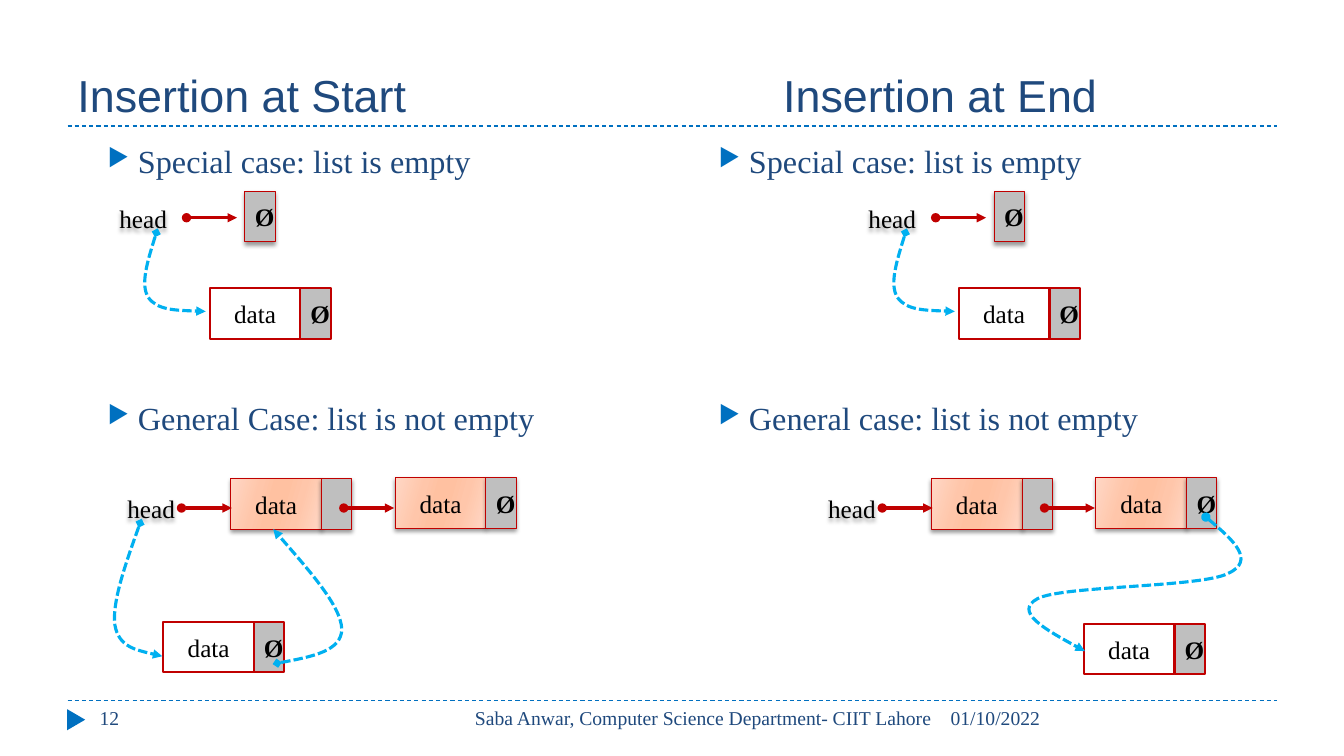
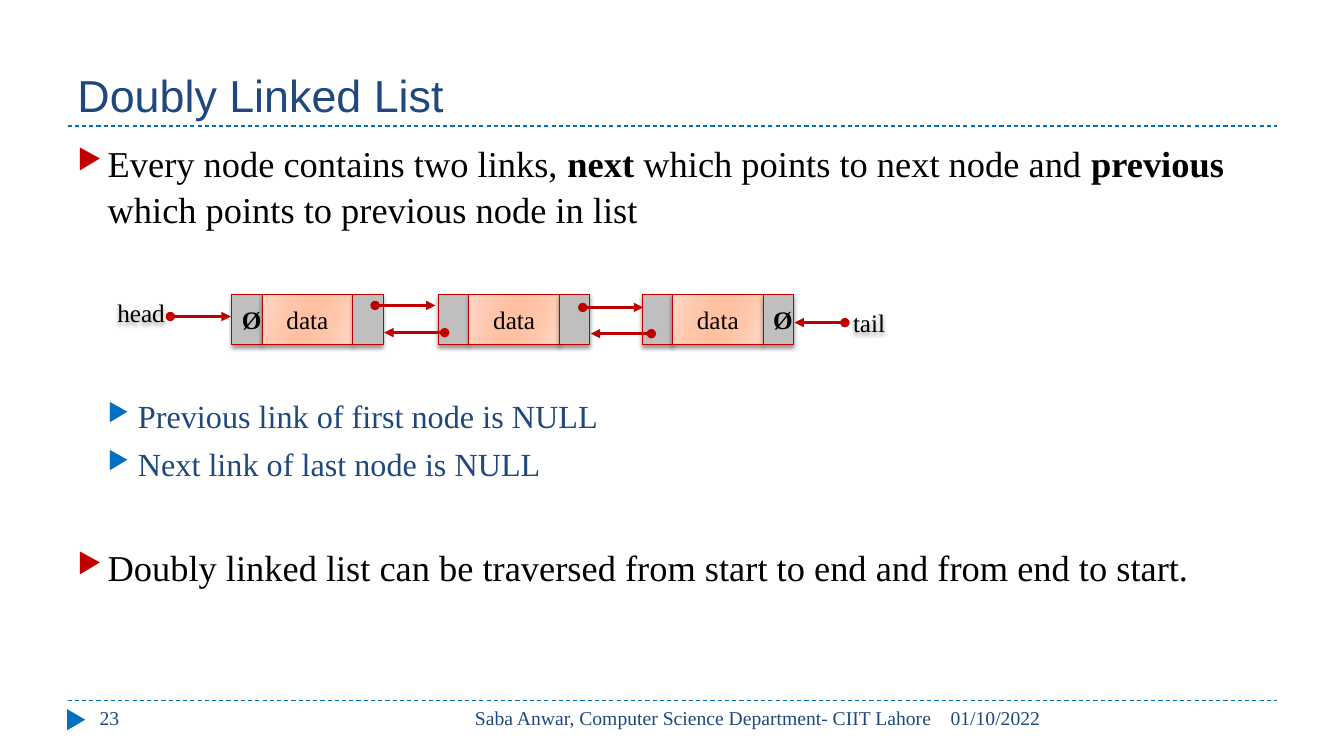
from lxml.etree import SubElement
from pptx import Presentation
from pptx.dml.color import RGBColor
from pptx.enum.dml import MSO_LINE
from pptx.enum.shapes import MSO_CONNECTOR, MSO_SHAPE
from pptx.enum.text import MSO_ANCHOR, PP_ALIGN
from pptx.oxml.ns import qn
from pptx.util import Pt

PX = 9144  # EMU per px, 100 px to the inch
NAVY, BLUE, SKY, RED = "1F497D", "0070C0", "00B0F0", "C00000"
BLACK, WHITE, GREY = "000000", "FFFFFF", "BFBFBF"
PEACH = [(0, "FFD7C5"), (30, "FFC6AA"), (45, "FFC1A1"),
         (55, "FFC1A1"), (73, "FFC6AA"), (100, "FFD7C5")]
SANS, SERIF = "Arial", "Times New Roman"

# Bullet levels: size, text colour, bullet colour, left margin
LEVELS = [(26, BLACK, RED, 30), (23, NAVY, BLUE, 60)]
CELL_H, DATA_W, LINK_W = 50, 90, 30
NULL = "Ø"

FOOT = [
    ("01/10/2022", (933, 695, 334, 40), PP_ALIGN.LEFT),
    ("Saba Anwar, Computer Science Department- CIIT Lahore",
     (423, 695, 511, 40), PP_ALIGN.RIGHT),
]

# Bullets: level, space before in points, pieces of text (bold, if starred)
START = [(1, 0, ["Special case: list is empty"]),
         (1, 155, ["General Case: list is not empty"])]
END = [(1, 0, ["Special case: list is empty"]),
       (1, 155, ["General case: list is not empty"])]
DOUBLY = [
    (0, 0, ["Every node contains two links, ", "*next",
            " which points to next node and ", "*previous",
            " which points to previous node in list"]),
    (1, 117, ["Previous link of first node is NULL"]),
    (1, 5, ["Next link of last node is NULL"]),
    (0, 43, ["Doubly linked list can be traversed from start to end "
             "and from end to start."]),
]

# Diagrams: labels (text, x, y), nodes (x, y, cells, is new),
# arrows (from, to), curves (Bezier points, head)
EMPTY = {
    "labels": [("head", 107, 202)],
    "nodes": [(243, 190, [NULL], False), (208, 286, ["data", NULL], True)],
    "arrows": [((185, 216), (235, 216))],
    "curves": [([(155, 231), (147, 257), (139, 282), (147, 295),
                 (156, 308), (180, 308), (204, 309)], "diamond")],
}
CHAIN = {
    "labels": [("head", 115, 489)],
    "nodes": [(229, 475, ["data", ""], False),
              (392, 474, ["data", NULL], False)],
    "arrows": [((180, 504), (230, 504)), ((341, 504), (391, 504))],
}
ADD_START = {
    "nodes": [(162, 617, ["data", NULL], True)],
    "curves": [([(139, 519), (125, 558), (111, 598), (114, 620),
                 (118, 642), (140, 646), (161, 651)], "diamond"),
               ([(275, 658), (307, 652), (339, 646), (339, 624),
                 (338, 601), (304, 563), (271, 525)], "diamond")],
}
ADD_END = {
    "nodes": [(1075, 619, ["data", NULL], True)],
    "curves": [([(1196, 513), (1221, 534), (1246, 556), (1218, 569),
                 (1190, 583), (1053, 581), (1029, 594),
                 (1005, 607), (1041, 627), (1076, 646)], "oval")],
}
TWO_WAY = {
    "labels": [("head", 105, 295), ("tail", 827, 305)],
    "nodes": [(230, 292, [NULL, "data", ""], False),
              (435, 292, ["", "data", ""], False),
              (637, 292, ["", "data", NULL], False)],
    "arrows": [((169, 314), (229, 314)), ((838, 320), (788, 320)),
               ((441, 330), (381, 330)), ((372, 303), (432, 303)),
               ((646, 331), (586, 331)), ((578, 305), (638, 305))],
}

SLIDES = [
    {"title": "Insertion at Start\tInsertion at End", "page": "12",
     "bodies": [((67, 133, 599, 540), START), ((673, 133, 592, 540), END)],
     "parts": [(EMPTY, 0), (CHAIN, 0), (ADD_START, 0),
               (EMPTY, 743), (CHAIN, 695), (ADD_END, 0)]},
    {"title": "Doubly Linked List", "page": "23",
     "bodies": [((67, 133, 1200, 540), DOUBLY)],
     "parts": [(TWO_WAY, 0)]},
]


def rgb(code):
    return RGBColor.from_string(code)


def emu(*values):
    return [v * PX for v in values]


def style(para, size, color, font=SERIF, align=None):
    para.alignment = align
    for run in para.runs:
        run.font.size, run.font.name = Pt(size), font
        run.font.color.rgb = rgb(color)


def stroke(line, color, width, dash=None):
    line.color.rgb, line.width = rgb(color), Pt(width)
    if dash:
        line.dash_style = dash


def tips(shape, head):
    """Put the head marker at the start and a triangle at the end."""
    ln = shape._element.spPr.find(qn("a:ln"))
    SubElement(ln, qn("a:headEnd"), type=head)
    SubElement(ln, qn("a:tailEnd"), type="triangle")


def shade(shape):
    """Give the shape a soft shadow straight below."""
    shape.shadow.inherit = False
    effects = shape._element.spPr.find(qn("a:effectLst"))
    outer = SubElement(effects, qn("a:outerShdw"), blurRad="38100",
                       dist="25400", dir="5400000", rotWithShape="0")
    color = SubElement(outer, qn("a:srgbClr"), val=BLACK)
    SubElement(color, qn("a:alpha"), val="40000")


def blend(shape):
    shape.fill.gradient()
    shape.fill.gradient_angle = 344
    stops = shape._element.spPr.find(".//" + qn("a:gsLst"))
    for old in list(stops):
        stops.remove(old)
    for place, code in PEACH:
        stop = SubElement(stops, qn("a:gs"), pos=str(place * 1000))
        SubElement(stop, qn("a:srgbClr"), val=code)


def write(slide, box, text, size, color, font=SERIF, align=None,
          anchor=MSO_ANCHOR.TOP):
    shape = slide.shapes.add_textbox(*emu(*box))
    frame = shape.text_frame
    frame.word_wrap, frame.vertical_anchor = True, anchor
    frame.text = text
    style(frame.paragraphs[0], size, color, font, align)
    return shape


def link(slide, start, end):
    line = slide.shapes.add_connector(MSO_CONNECTOR.STRAIGHT,
                                      *emu(*start, *end))
    SubElement(line._element.spPr, qn("a:effectLst"))
    return line


def cell(slide, x, y, width, text, new):
    shape = slide.shapes.add_shape(MSO_SHAPE.RECTANGLE,
                                   *emu(x, y, width, CELL_H))
    if text == "data" and not new:
        blend(shape)
    else:
        shape.fill.solid()
        shape.fill.fore_color.rgb = rgb(WHITE if text == "data" else GREY)
    stroke(shape.line, RED, 1.5 if new else 0.75)
    if new:
        shape.shadow.inherit = False
    else:
        shade(shape)
    if text:
        para = shape.text_frame.paragraphs[0]
        para.text = text
        style(para, 18, BLACK, align=PP_ALIGN.CENTER)
        para.runs[0].font.bold = text == NULL


def curve(slide, points, head):
    """Draw a dashed Bezier arrow; three points follow for each bend."""
    pen = slide.shapes.build_freeform(*points[0], scale=PX)
    pen.add_line_segments(points[1:], close=False)
    shape = pen.convert_to_shape()
    track = shape._element.spPr.find(".//" + qn("a:path"))
    steps = track.findall(qn("a:lnTo"))
    for i in range(0, len(steps), 3):
        bend = SubElement(track, qn("a:cubicBezTo"))
        for step in steps[i:i + 3]:
            bend.append(step[0])
            track.remove(step)
    shape.fill.background()
    shape.shadow.inherit = False
    stroke(shape.line, SKY, 2.25, MSO_LINE.SQUARE_DOT)
    tips(shape, head)


def draw(slide, part, dx):
    """Draw one diagram, moved right by dx."""
    for text, x, y in part.get("labels", []):
        shade(write(slide, (x + dx, y, 70, 30), text, 18, BLACK,
                    align=PP_ALIGN.CENTER, anchor=MSO_ANCHOR.MIDDLE))
    for x, y, cells, new in part["nodes"]:
        left = x + dx
        for text in cells:
            width = DATA_W if text == "data" else LINK_W
            cell(slide, left, y, width, text, new)
            left += width
    for (x1, y1), (x2, y2) in part.get("arrows", []):
        line = link(slide, (x1 + dx, y1), (x2 + dx, y2))
        stroke(line.line, RED, 2.25)
        tips(line, "oval")
    for points, head in part.get("curves", []):
        curve(slide, [(x + dx, y) for x, y in points], head)


def body(slide, box, items):
    frame = slide.shapes.add_textbox(*emu(*box)).text_frame
    frame.word_wrap = True
    for i, (level, gap, pieces) in enumerate(items):
        para = frame.add_paragraph() if i else frame.paragraphs[0]
        size, color, mark, margin = LEVELS[level]
        props = para._p.get_or_add_pPr()
        props.set("marL", str(margin * PX))
        props.set("indent", str(-30 * PX))
        tint = SubElement(props, qn("a:buClr"))
        SubElement(tint, qn("a:srgbClr"), val=mark)
        SubElement(props, qn("a:buSzPct"), val="76000")
        SubElement(props, qn("a:buChar"), char="▶")
        para.level, para.line_spacing = level, 1.05
        if gap:
            para.space_before = Pt(gap)
        for piece in pieces:
            run = para.add_run()
            run.text = piece.lstrip("*")
            run.font.bold = piece.startswith("*")
        style(para, size, color)


def frame(slide, title, page):
    """Add the title, rules and footer that every slide has."""
    for y in (695, 125):
        rule = link(slide, (67, y), (1267, y))
        stroke(rule.line, BLUE, 0.75, MSO_LINE.DASH)
    mark = slide.shapes.add_shape(MSO_SHAPE.ISOSCELES_TRIANGLE,
                                  *emu(65, 705, 21, 18))
    mark.rotation = 90
    mark.fill.solid()
    mark.fill.fore_color.rgb = rgb(BLUE)
    mark.line.fill.background()
    mark.shadow.inherit = False
    head = write(slide, (67, 17, 1200, 108), title, 32, NAVY, SANS,
                 anchor=MSO_ANCHOR.BOTTOM)
    if "\t" in title:
        props = head.text_frame.paragraphs[0]._p.get_or_add_pPr()
        tabs = SubElement(props, qn("a:tabLst"))
        SubElement(tabs, qn("a:tab"), pos=str(700 * PX), algn="l")
    for text, box, align in FOOT + [(page, (89, 695, 289, 40),
                                     PP_ALIGN.LEFT)]:
        write(slide, box, text, 14, NAVY, align=align)


def main():
    deck = Presentation()
    deck.slide_width, deck.slide_height = emu(1333, 750)
    for data in SLIDES:
        slide = deck.slides.add_slide(deck.slide_layouts[6])
        frame(slide, data["title"], data["page"])
        for box, items in data["bodies"]:
            body(slide, box, items)
        for part, dx in data["parts"]:
            draw(slide, part, dx)
    deck.save("out.pptx")


if __name__ == "__main__":
    main()
